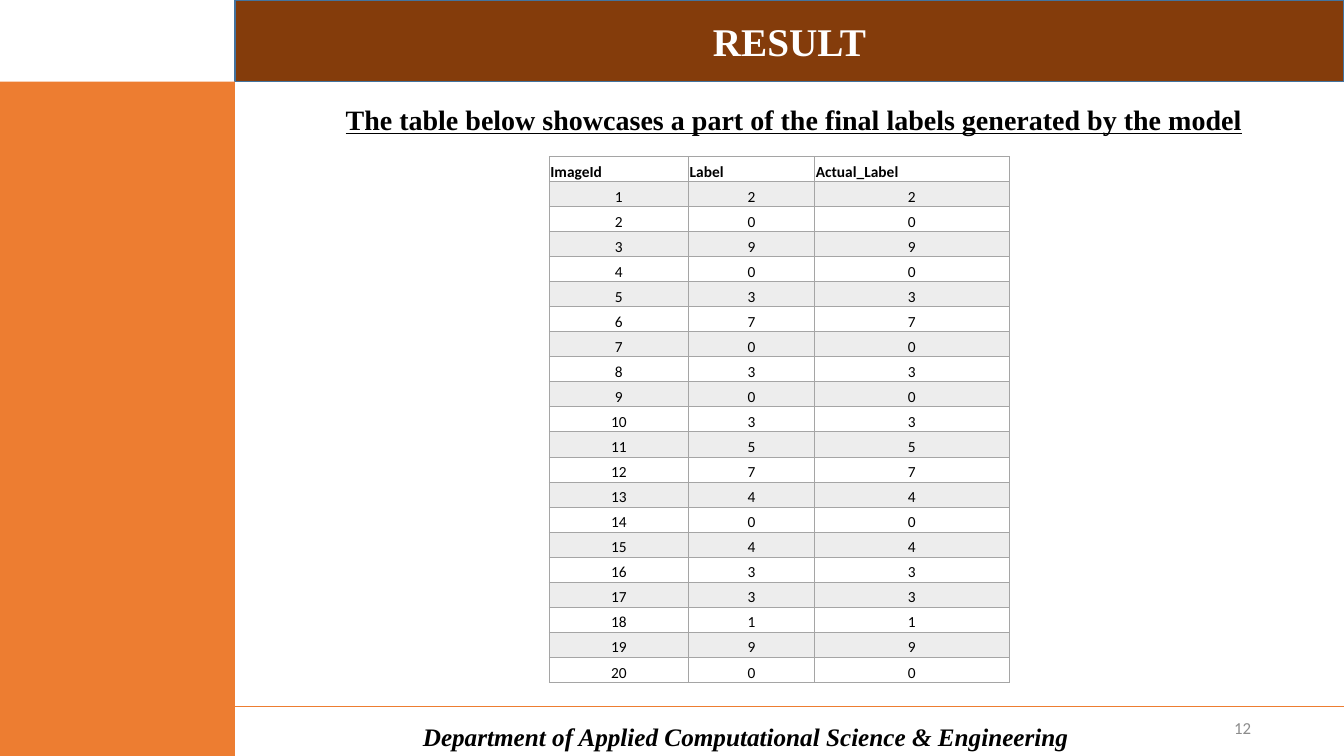
from lxml.etree import SubElement
from pptx import Presentation
from pptx.dml.color import RGBColor
from pptx.enum.shapes import MSO_CONNECTOR as Connector, MSO_SHAPE as Shape
from pptx.enum.text import MSO_ANCHOR as Anchor, PP_ALIGN as Align
from pptx.oxml import parse_xml
from pptx.oxml.ns import nsdecls, qn
from pptx.util import Cm, Pt

ORANGE = RGBColor(0xED, 0x7D, 0x31)
BROWN = RGBColor(0x84, 0x3C, 0x0B)
BLUE = RGBColor(0x43, 0x73, 0x9E)
BAND = RGBColor(0xED, 0xED, 0xED)
BORDER = RGBColor(0xA5, 0xA5, 0xA5)
GRAY = RGBColor(0x8C, 0x8C, 0x8C)
BLACK = RGBColor(0, 0, 0)
WHITE = RGBColor(0xFF, 0xFF, 0xFF)

SERIF, SANS = "Times New Roman", "Calibri"
SLIDE_W, SLIDE_H = 33.87, 19.05
SIDEBAR_W, BANNER_H = 5.92, 2.06
FOOTER_Y = 17.81

HEADER = ["ImageId", "Label", "Actual_Label"]
LABELS = [2, 0, 9, 0, 3, 7, 0, 3, 0, 3, 5, 7, 4, 0, 4, 3, 3, 1, 9, 0]


def write(tf, text, size=11, font=SANS, color=BLACK, bold=False, italic=False,
          underline=False, align=Align.LEFT):
    p = tf.paragraphs[0]
    p.alignment = align
    r = p.add_run()
    r.text = text
    f = r.font
    f.size, f.name, f.color.rgb = Pt(size), font, color
    f.bold, f.italic, f.underline = bold, italic, underline


class ResultSlide:
    def __init__(self, prs):
        self.s = prs.slides.add_slide(prs.slide_layouts[5])

    def title(self, x, y, w, h, text):
        sp = self.s.shapes.title
        sp.left, sp.top, sp.width, sp.height = Cm(x), Cm(y), Cm(w), Cm(h)
        sp.fill.solid()
        sp.fill.fore_color.rgb = BROWN
        sp.line.color.rgb = BLUE
        sp.line.width = Pt(1)
        sp.text_frame.vertical_anchor = Anchor.MIDDLE
        write(sp.text_frame, text, size=28, font=SERIF, color=WHITE, bold=True,
              align=Align.CENTER)

    def rule(self, x1, x2, y):
        line = self.s.shapes.add_connector(Connector.STRAIGHT, Cm(x1), Cm(y), Cm(x2), Cm(y))
        line.line.color.rgb = ORANGE
        line.line.width = Pt(0.5)
        SubElement(line._element.spPr, qn("a:effectLst"))

    def block(self, x, y, w, h):
        sp = self.s.shapes.add_shape(Shape.RECTANGLE, Cm(x), Cm(y), Cm(w), Cm(h))
        sp.shadow.inherit = False
        sp.fill.solid()
        sp.fill.fore_color.rgb = ORANGE
        sp.line.fill.background()

    def text(self, x, y, w, h, text, anchor=Anchor.MIDDLE, **style):
        tf = self.s.shapes.add_textbox(Cm(x), Cm(y), Cm(w), Cm(h)).text_frame
        tf.word_wrap = True
        tf.vertical_anchor = anchor
        write(tf, text, **style)

    def table(self, x, y, widths, h, rows):
        frame = self.s.shapes.add_table(len(rows), len(widths), Cm(x), Cm(y),
                                        Cm(sum(widths)), Cm(h))
        table = frame.table
        table.horz_banding = table.first_row = False
        for column, width in zip(table.columns, widths):
            column.width = Cm(width)
        for i, row in enumerate(rows):
            for j, value in enumerate(row):
                self.cell(table.cell(i, j), str(value), header=i == 0, shaded=i % 2 == 1)

    def cell(self, cell, text, header, shaded):
        cell.margin_left = cell.margin_right = cell.margin_top = Cm(0.03)
        cell.margin_bottom = 0
        cell.vertical_anchor = Anchor.BOTTOM
        if shaded:
            cell.fill.solid()
            cell.fill.fore_color.rgb = BAND
        else:
            cell.fill.background()
        write(cell.text_frame, text, bold=header,
              align=Align.LEFT if header else Align.CENTER)
        # Borders come before the fill in the cell properties
        for k, side in enumerate("LRTB"):
            cell._tc.get_or_add_tcPr().insert(k, parse_xml(
                f'<a:ln{side} {nsdecls("a")} w="{Pt(0.5)}"><a:solidFill>'
                f'<a:srgbClr val="{BORDER}"/></a:solidFill></a:ln{side}>'))


def main():
    prs = Presentation()
    prs.slide_width, prs.slide_height = Cm(SLIDE_W), Cm(SLIDE_H)
    slide = ResultSlide(prs)

    # Footer
    slide.rule(0, SLIDE_W, FOOTER_Y)
    slide.text(9.6, 18.26, 18.39, 0.58,
               "Department of Applied Computational Science & Engineering",
               size=18, font=SERIF, bold=True, italic=True, align=Align.CENTER)
    slide.text(24.16, 17.83, 7.62, 1.02, "12", size=12, color=GRAY, align=Align.RIGHT)

    # Sidebar and title banner
    slide.block(0, BANNER_H, SIDEBAR_W, SLIDE_H - BANNER_H)
    slide.title(SIDEBAR_W, 0, SLIDE_W - SIDEBAR_W, BANNER_H, "RESULT")

    # Results
    slide.text(8.46, 2.46, 23.95, 1.12,
               "The table below showcases a part of the final labels generated by the model",
               anchor=Anchor.TOP, size=20, font=SERIF, bold=True, underline=True)
    # Every predicted label matches the actual one
    rows = [HEADER] + [(n, label, label) for n, label in enumerate(LABELS, 1)]
    slide.table(13.84, 3.94, [3.51, 3.18, 4.9], 13.26, rows)

    prs.save("out.pptx")


if __name__ == "__main__":
    main()
